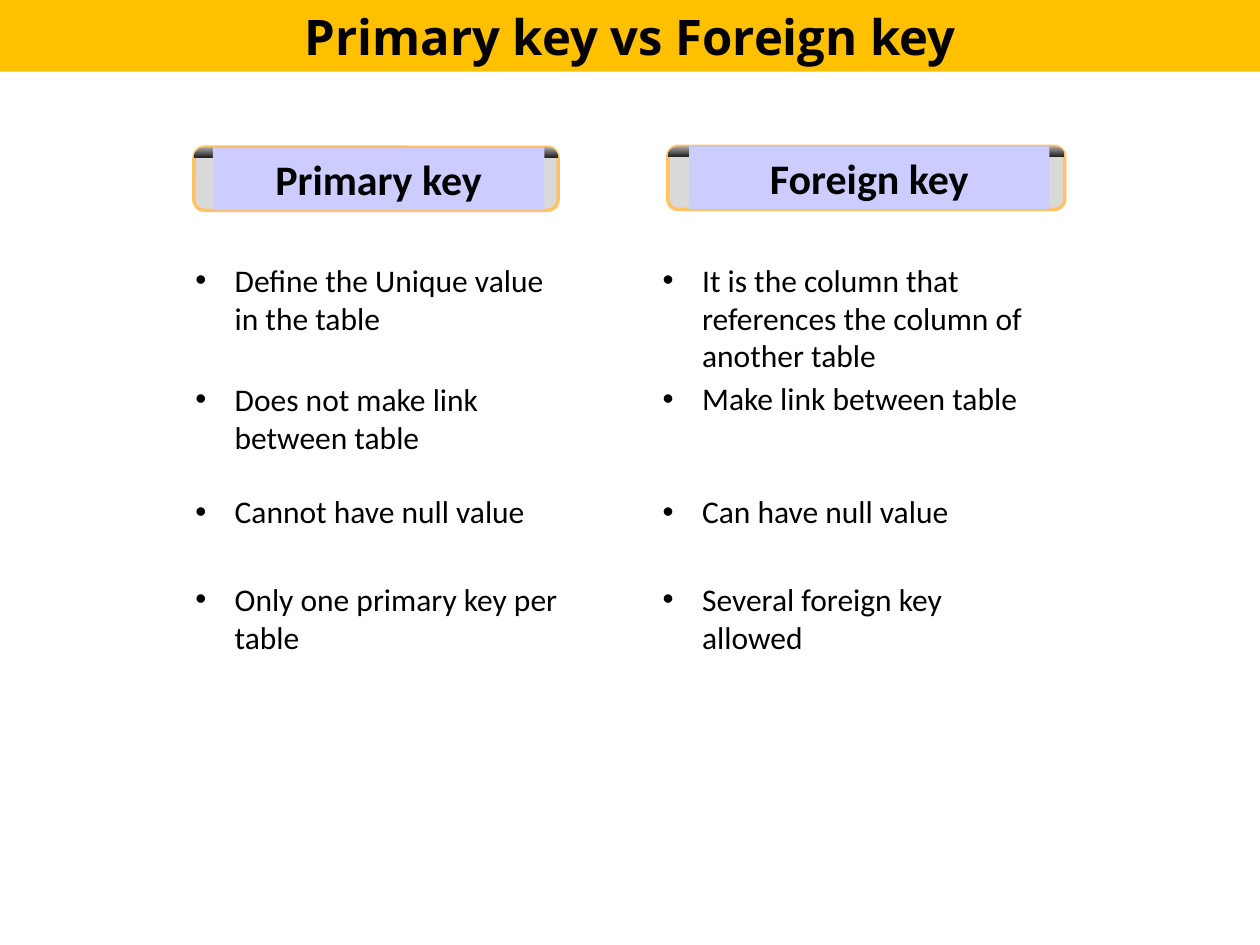
import math
from pptx import Presentation
from pptx.dml.color import RGBColor
from pptx.enum import shapes, text
from pptx.util import Pt

BLACK = RGBColor(0x00, 0x00, 0x00)
AMBER = RGBColor(0xFF, 0xC0, 0x00)
ORANGE = RGBColor(0xFF, 0xC2, 0x66)
LAVENDER = RGBColor(0xCC, 0xCC, 0xFF)
LIGHT_GRAY = RGBColor(0xD9, 0xD9, 0xD9)
MID_GRAY = RGBColor(0xA6, 0xA6, 0xA6)
DARK_GRAY = RGBColor(0x26, 0x26, 0x26)


def write(paragraph, content, font="Calibri", size=18, bold=False,
          align=text.PP_ALIGN.LEFT, before=0):
    paragraph.alignment = align
    paragraph.space_before = Pt(before)
    run = paragraph.add_run()
    run.text = content
    run.font.name = font
    run.font.size = Pt(size)
    run.font.bold = bold
    run.font.color.rgb = BLACK


class KeySlide:
    indent = 22.5
    heading_height = 36
    cap_height = 6.2

    def __init__(self, presentation):
        self.slide = presentation.slides.add_slide(presentation.slide_layouts[3])

    def place(self, shape, left, top, width, height):
        shape.left, shape.top = Pt(left), Pt(top)
        shape.width, shape.height = Pt(width), Pt(height)

    def prepare(self, shape, anchor):
        frame = shape.text_frame
        frame.word_wrap = True
        frame.auto_size = text.MSO_AUTO_SIZE.NONE
        frame.vertical_anchor = anchor
        return frame

    def title(self, content, height):
        title = self.slide.shapes.title
        self.place(title, 0, 0, 720, height)
        title.fill.solid()
        title.fill.fore_color.rgb = AMBER
        frame = self.prepare(title, text.MSO_ANCHOR.MIDDLE)
        write(frame.paragraphs[0], content, font="Open Sans", size=28,
              bold=True, align=text.PP_ALIGN.CENTER)

    def box(self, kind, left, top, width, color, line=None):
        box = self.slide.shapes.add_shape(
            kind, Pt(left), Pt(top), Pt(width), Pt(self.heading_height))
        box.shadow.inherit = False
        box.fill.solid()
        box.fill.fore_color.rgb = color
        if line is None:
            box.line.fill.background()
        else:
            box.line.color.rgb = line
            box.line.width = Pt(2)
        return box

    def cap(self, left, top, width):
        radius = self.cap_height
        angles = [math.radians(step) for step in range(0, 91, 15)]
        right_arc = [(left + width - radius + radius * math.sin(a),
                      top + radius - radius * math.cos(a)) for a in angles]
        left_arc = [(2 * left + width - x, y) for x, y in reversed(right_arc)]
        points = [(Pt(x), Pt(y)) for x, y in right_arc + left_arc]
        builder = self.slide.shapes.build_freeform(*points[0])
        builder.add_line_segments(points[1:], close=True)
        cap = builder.convert_to_shape()
        cap.shadow.inherit = False
        cap.line.fill.background()
        cap.fill.gradient()
        cap.fill.gradient_angle = 270
        stops = ((0.01, MID_GRAY), (0.9, DARK_GRAY))
        for stop, (position, color) in zip(cap.fill.gradient_stops, stops):
            stop.position = position
            stop.color.rgb = color

    def heading(self, content, left, top, width, panel_left, panel_width):
        kinds = shapes.MSO_SHAPE
        self.box(kinds.ROUNDED_RECTANGLE, left, top, width, LIGHT_GRAY, ORANGE)
        self.cap(left, top, width)
        panel = self.box(kinds.RECTANGLE, panel_left, top, panel_width, LAVENDER)
        frame = self.prepare(panel, text.MSO_ANCHOR.MIDDLE)
        write(frame.paragraphs[0], content, size=24, bold=True,
              align=text.PP_ALIGN.CENTER)

    def bullets(self, index, items, left, top, width, height):
        body = self.slide.placeholders[index]
        self.place(body, left, top, width, height)
        frame = self.prepare(body, text.MSO_ANCHOR.TOP)
        for number, (content, before) in enumerate(items):
            paragraph = frame.add_paragraph() if number else frame.paragraphs[0]
            write(paragraph, content, before=before)
            properties = paragraph._p.get_or_add_pPr()
            properties.set("marL", str(Pt(self.indent)))
            properties.set("indent", str(-Pt(self.indent)))


presentation = Presentation()
presentation.slide_width, presentation.slide_height = Pt(720), Pt(540)
page = KeySlide(presentation)
page.title("Primary key vs Foreign key", 41)
page.heading("Primary key", 110.9, 84.2, 208, 121.7, 189.4)
page.heading("Foreign key", 381.6, 83.7, 226.8, 393.8, 205.9)

primary_points = [
    ("Define the Unique value in the table", 0),
    ("Does not make link between table", 25),
    ("Cannot have null value", 21),
    ("Only one primary key per table", 28.5),
]
foreign_points = [
    ("It is the column that references the column of another table", 0),
    ("Make link between table", 3),
    ("Can have null value", 43),
    ("Several foreign key allowed", 28.5),
]
for index, left, points in ((1, 104.4, primary_points), (2, 371.5, foreign_points)):
    page.bullets(index, points, left, 145.4, 229.7, 235.5)

presentation.save("out.pptx")
